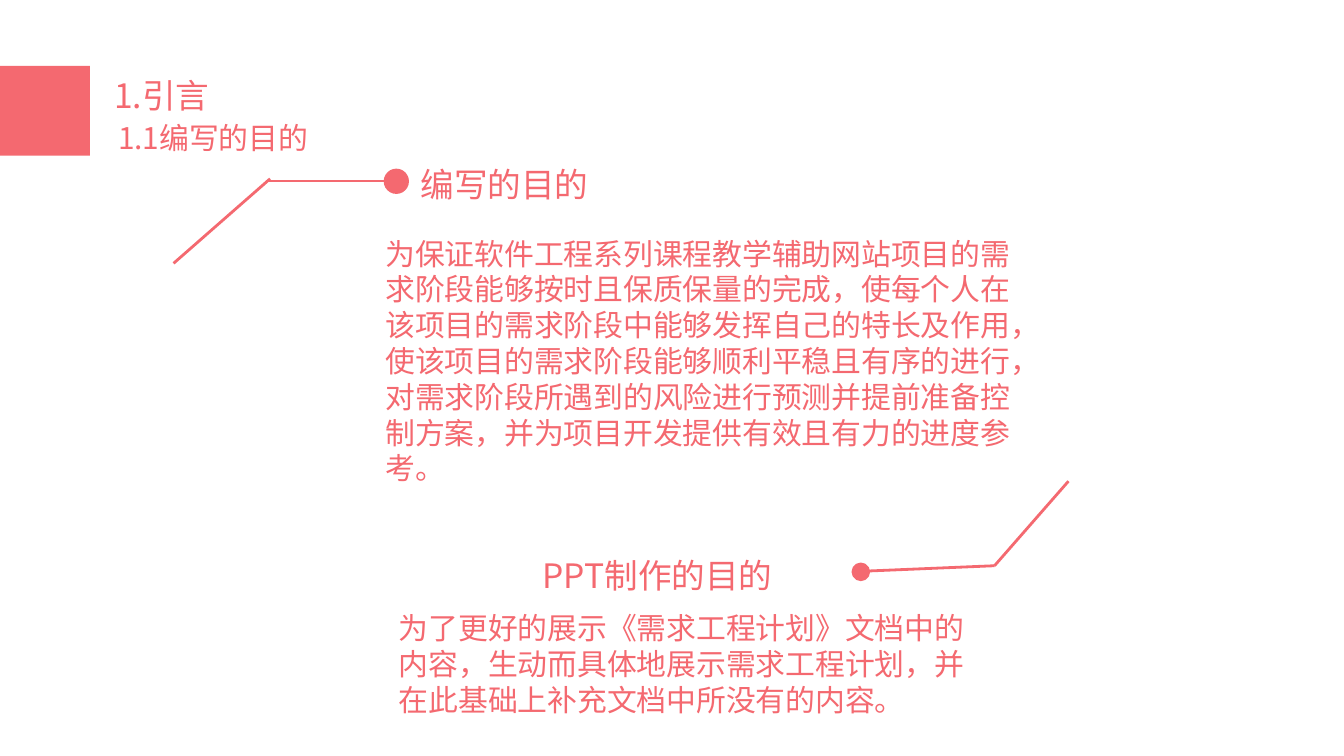
import pptx
import pptx.util
import pptx.dml.color
import pptx.enum.shapes
import pptx.enum.text
import pptx.oxml
import pptx.oxml.ns

Pt = pptx.util.Pt
Shape = pptx.enum.shapes.MSO_SHAPE


class Deck:
    hues = {"coral": "F46970", "white": "FFFFFF"}
    sans = "Noto Sans CJK SC"
    body = "Calibri"

    def __init__(self, wide, high):
        self.file = pptx.Presentation()
        self.file.slide_width = Pt(wide)
        self.file.slide_height = Pt(high)
        self.slide = self.file.slides.add_slide(self.file.slide_layouts[5])
        back = self.slide.background.fill
        back.solid()
        back.fore_color.rgb = self.hue("white")

    def hue(self, name):
        return pptx.dml.color.RGBColor.from_string(self.hues[name])

    def style(self, box, text, size, font):
        frame = box.text_frame
        frame.text = text
        frame.word_wrap = True
        frame.auto_size = pptx.enum.text.MSO_AUTO_SIZE.NONE
        frame.vertical_anchor = pptx.enum.text.MSO_ANCHOR.TOP
        frame.margin_left = frame.margin_right = Pt(7.2)
        frame.margin_top, frame.margin_bottom = Pt(5), Pt(2.2)
        for para in frame.paragraphs:
            para.alignment = pptx.enum.text.PP_ALIGN.LEFT
            para.line_spacing = Pt(size * 1.2)
            para.space_before = Pt(0)
            for run in para.runs:
                run.font.size = Pt(size)
                run.font.name = font
                run.font.color.rgb = self.hue("coral")
                latin = run.font._element.find(pptx.oxml.ns.qn("a:latin"))
                east = pptx.oxml.ns.qn("a:ea")
                latin.addnext(latin.makeelement(east, {"typeface": self.sans}))

    def title(self, text, x, y, w, h, size):
        box = self.slide.shapes.title
        box.left, box.top, box.width, box.height = map(Pt, (x, y, w, h))
        self.style(box, text, size, self.sans)

    def text(self, text, x, y, w, h, size, font):
        box = self.slide.shapes.add_textbox(*map(Pt, (x, y, w, h)))
        self.style(box, text, size, font)

    def shape(self, kind, x, y, w, h, line=0, home=None):
        home = home or self.slide.shapes
        item = home.add_shape(kind, *map(Pt, (x, y, w, h)))
        item.shadow.inherit = False
        item.fill.solid()
        item.fill.fore_color.rgb = self.hue("coral")
        if line:
            item.line.color.rgb = self.hue("coral")
            item.line.width = Pt(line)
        else:
            item.line.fill.background()

    def line(self, home, start, end):
        kind = pptx.enum.shapes.MSO_CONNECTOR.STRAIGHT
        item = home.add_connector(kind, *map(Pt, start + end))
        item.line.color.rgb = self.hue("coral")
        item.line.width = Pt(1.5)
        props = item._element.spPr
        props.append(props.makeelement(pptx.oxml.ns.qn("a:effectLst"), {}))

    def trail(self, lines, dot):
        home = self.slide.shapes.add_group_shape().shapes
        for start, end in lines:
            self.line(home, start, end)
        x, y, size = dot
        self.shape(Shape.OVAL, x, y, size, size, 2, home)

    def save(self):
        self.file.save("out.pptx")


def main():
    deck = Deck(720, 405)
    deck.shape(Shape.RECTANGLE, 0, 35.3, 48.2, 48.2)
    deck.title("1.引言", 54, 35.3, 124.6, 28.8, 18)
    deck.text("1.1编写的目的", 56.2, 59, 124.6, 26.6, 16, deck.sans)

    deck.trail([((93, 141.1), (144.7, 95.8)), ((142.6, 97), (207.4, 97))],
               (206.6, 91.4, 11.5))
    deck.trail([((463, 306), (532.8, 303.1)), ((532.8, 303.1), (572.4, 257.8))],
               (457.2, 302.4, 7.9))

    deck.text("编写的目的", 218.2, 82.8, 164.2, 28.8, 18, deck.sans)
    deck.text("为保证软件工程系列课程教学辅助网站项目的需求阶段能够按时且保质保量的完成，"
              "使每个人在该项目的需求阶段中能够发挥自己的特长及作用，"
              "使该项目的需求阶段能够顺利平稳且有序的进行，"
              "对需求阶段所遇到的风险进行预测并提前准备控制方案，"
              "并为项目开发提供有效且有力的进度参考。",
              199.4, 121, 364.3, 143.3, 16, deck.body)
    deck.text("PPT制作的目的", 283.7, 292.3, 164.2, 28.8, 18, deck.sans)
    deck.text("为了更好的展示《需求工程计划》文档中的内容，"
              "生动而具体地展示需求工程计划，并在此基础上补充文档中所没有的内容。",
              206.6, 321.8, 325.4, 65.5, 16, deck.body)
    deck.save()


if __name__ == "__main__":
    main()
